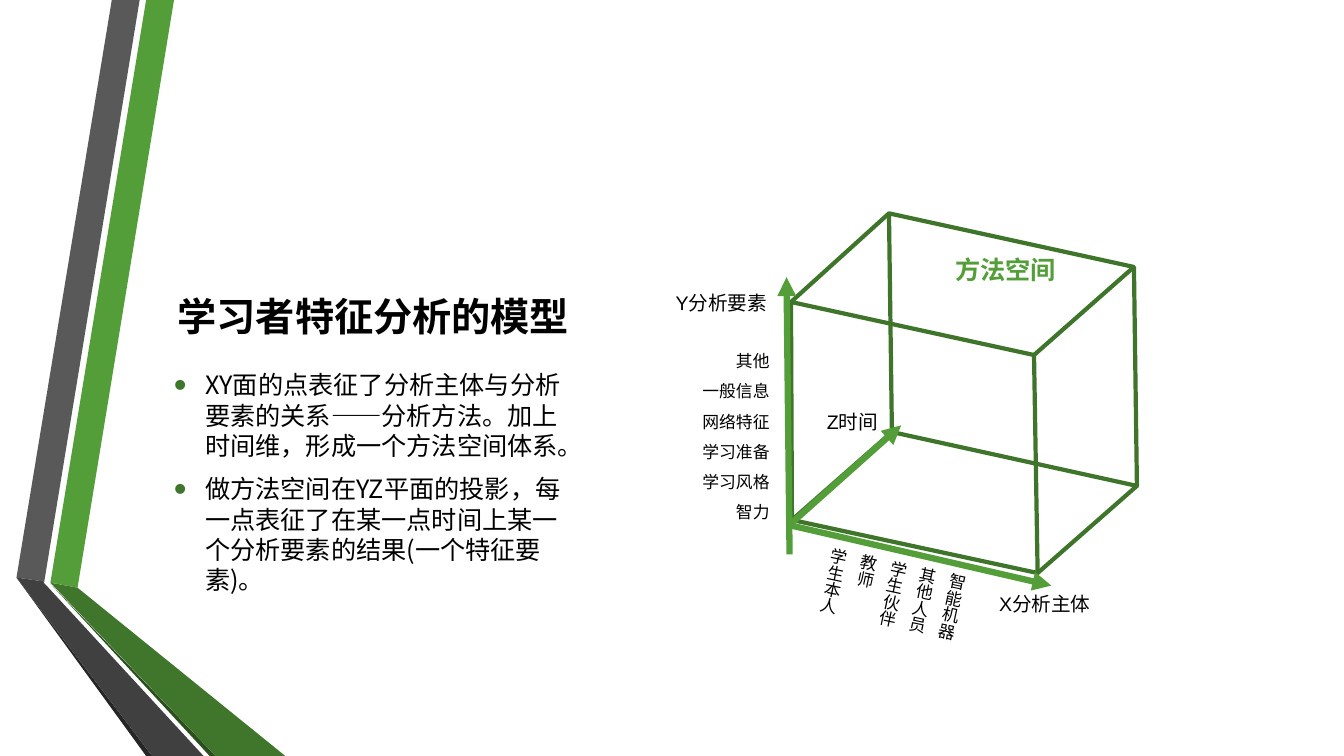
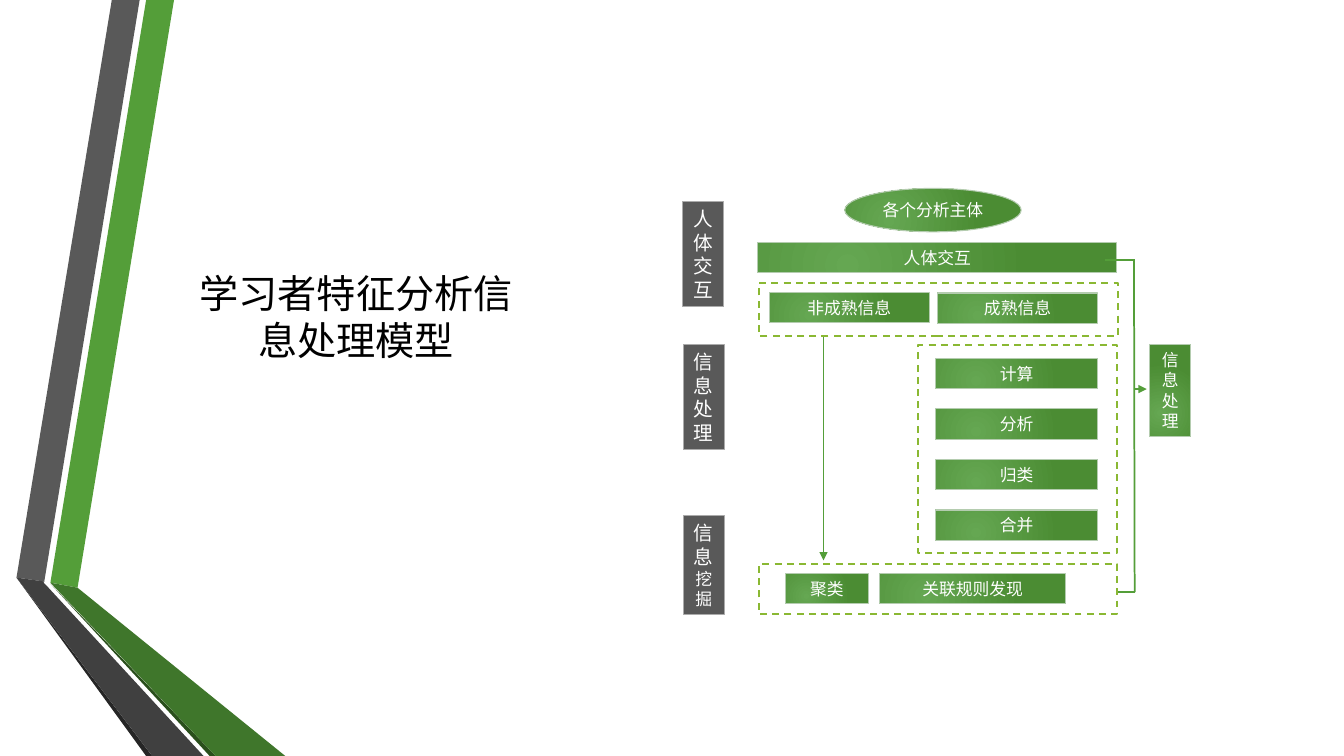
from lxml import etree
from pptx import Presentation
from pptx import oxml
from pptx.dml.color import RGBColor
from pptx.enum import dml, shapes, text
from pptx.oxml import ns
from pptx.util import Pt

GREEN, DARK_GREEN, LIME, GREY = "549E39", "3E752A", "8AB833", "595959"
BLACK, WHITE = "000000", "FFFFFF"
CJK = "Noto Sans CJK SC"
TITLE = {"size": 28, "font": CJK, "align": text.PP_ALIGN.CENTER,
         "anchor": text.MSO_ANCHOR.BOTTOM}
RIBBONS = [
    (GREEN, [(36, 416.2), (55.4, 419.8), (124.3, 0), (104.4, 0)]),
    (GREY, [(99.8, 0), (79.9, 0), (11.8, 412.6), (31.7, 415.4)]),
    ("262626", [(11.8, 412.6), (104.4, 540), (108.7, 540)]),
    ("2A4F1C", [(36, 416.9), (149.8, 540), (154.1, 540)]),
    ("3F762B", [(36, 416.2), (154.1, 540), (203.8, 540), (55.4, 419.8)]),
    ("404040", [(145.4, 540), (34.6, 419.8), (31, 416), (31.7, 415.4),
                (11.8, 412.6), (108.7, 540)]),
]


def color(value):
    return RGBColor.from_string(value)


def set_all(target, values):
    for name, value in values.items():
        setattr(target, name, value)


def add_xml(parent, tag, **values):
    return etree.SubElement(parent, ns.qn(tag), values)


def write(shape, paras, size=12, font="Arial", ink=BLACK, bold=False,
          align=text.PP_ALIGN.LEFT, anchor=text.MSO_ANCHOR.TOP, spacing=None):
    """Fill a shape with paragraphs; each is a string or a list of (string, size)."""
    frame = shape.text_frame
    set_all(frame, {"word_wrap": True, "vertical_anchor": anchor})
    for index, content in enumerate(paras):
        para = frame.paragraphs[0] if index == 0 else frame.add_paragraph()
        set_all(para, {"alignment": align, "line_spacing": spacing})
        spans = [(content, size)] if isinstance(content, str) else content
        for words, points in spans:
            span = para.add_run()
            span.text = words
            set_all(span.font, {"size": Pt(points), "bold": bold, "name": font})
            span.font.color.rgb = color(ink)
            add_xml(span.font._element, "a:ea", typeface=CJK)


def add_text(page, left, top, width, height, paras, **style):
    box = page.shapes.add_textbox(Pt(left), Pt(top), Pt(width), Pt(height))
    write(box, paras, **style)
    return box


def add_line(page, start, end, width=1.25, arrow=False):
    line = page.shapes.add_connector(
        shapes.MSO_CONNECTOR.STRAIGHT, *(Pt(value) for value in (*start, *end)))
    line.line.width = Pt(width)
    line.line.color.rgb = color(GREEN)
    if arrow:
        add_xml(line.line._get_or_add_ln(), "a:tailEnd", type="triangle")
    add_xml(line._element.spPr, "a:effectLst")


def add_outline(page, contours):
    """Draw one freeform; contours of more than two points are closed."""
    contours = [[(Pt(x), Pt(y)) for x, y in points] for points in contours]
    builder = page.shapes.build_freeform(*contours[0][0], scale=1.0)
    for points in contours:
        if points is not contours[0]:
            builder.move_to(*points[0])
        builder.add_line_segments(points[1:], close=len(points) > 2)
    outline = builder.convert_to_shape()
    outline.shadow.inherit = False
    return outline


def add_panel(page, left, top, width, height, edge, weight=0.75,
              kind=shapes.MSO_SHAPE.RECTANGLE):
    panel = page.shapes.add_shape(kind, Pt(left), Pt(top), Pt(width), Pt(height))
    panel.shadow.inherit = False
    panel.fill.background()
    panel.line.width = Pt(weight)
    panel.line.color.rgb = color(edge)
    return panel


def add_green_block(page, left, top, width, height, words,
                    kind=shapes.MSO_SHAPE.RECTANGLE):
    block = add_panel(page, left, top, width, height, "B4CCAF", kind=kind)
    gradient = oxml.parse_xml(
        f'<a:gradFill {ns.nsdecls("a")} rotWithShape="1"><a:gsLst>'
        '<a:gs pos="0"><a:srgbClr val="65A752"/></a:gs>'
        '<a:gs pos="100000"><a:srgbClr val="4B8C33"/></a:gs></a:gsLst>'
        '<a:path path="circle"><a:fillToRect l="50000" t="100000" '
        'r="100000" b="50000"/></a:path></a:gradFill>')
    properties = block._element.spPr
    properties.replace(properties.find(ns.qn("a:noFill")), gradient)
    write(block, [words], ink=WHITE, align=text.PP_ALIGN.CENTER,
          anchor=text.MSO_ANCHOR.MIDDLE)


def add_grey_tag(page, left, top, height, content):
    tag = add_panel(page, left, top, 29.5, height, "ABABAB")
    tag.fill.solid()
    tag.fill.fore_color.rgb = color(GREY)
    write(tag, [content], size=14, ink=WHITE, align=text.PP_ALIGN.CENTER,
          anchor=text.MSO_ANCHOR.MIDDLE)


def add_page(deck):
    """Add a blank page with the folded ribbons on its left edge."""
    page = deck.slides.add_slide(deck.slide_layouts[6])
    for fill, points in RIBBONS:
        ribbon = add_outline(page, [points])
        ribbon.fill.solid()
        ribbon.fill.fore_color.rgb = color(fill)
        ribbon.line.fill.background()
    return page


def add_bullets(page, left, top, width, height, paras):
    box = add_text(page, left, top, width, height, paras, size=18, font=CJK)
    for para in box.text_frame.paragraphs:
        para.space_after = Pt(9.6)
        properties = para._p.get_or_add_pPr()
        properties.set("marL", str(Pt(22.3)))
        properties.set("indent", str(-Pt(22.3)))
        bullet_color = add_xml(properties, "a:buClr")
        add_xml(bullet_color, "a:srgbClr", val="3F762B")
        add_xml(properties, "a:buSzPct", val="145000")
        add_xml(properties, "a:buFont", typeface="Arial")
        add_xml(properties, "a:buChar", char="•")


def add_cube(page, left, top):
    """Draw the method space with its three axes and their labels."""
    def at(x, y):
        return left + x, top + y

    front = [at(95, 65.7), at(268.6, 103.6), at(271.2, 259.3), at(95.7, 221.4)]
    back = [at(165, 2.4), at(340, 40.7), at(342.1, 197.1), at(167.1, 158.6)]
    cube = add_outline(page, [front, back, *zip(front, back)])
    cube.fill.background()
    cube.line.width = Pt(3)
    cube.line.color.rgb = color(DARK_GREEN)

    add_text(page, *at(0.4, 89.8), 86.4, 160,
             ["其他", "一般信息", "网络特征", "学习准备", "学习风格", "智力"],
             align=text.PP_ALIGN.RIGHT, spacing=1.5)
    subjects = add_text(page, *at(115, 251), 108, 70,
                        ["智能机器", "其他人员", "学生伙伴", "教师", "学生本人"],
                        spacing=1.5)
    subjects.rotation = 12
    frame = subjects.text_frame
    set_all(frame, dict.fromkeys(
        ("margin_left", "margin_right", "margin_top", "margin_bottom"), 0))
    frame._txBody.bodyPr.set("vert", "eaVert")

    add_text(page, *at(205.1, 28.1), 93.6, 28.8, ["方法空间"],
             size=18, ink=GREEN, bold=True)
    for words, x, y, width in [("Z时间", 113.6, 139.6, 75.6),
                               ("Y分析要素", 5.5, 54.5, 80.6),
                               ("X分析主体", 236.5, 269.4, 106.6)]:
        add_text(page, *at(x, y), width, 24.5, [words], size=14)
    for start, end in [((94, 246), (91.8, 48)),
                       ((93.8, 225.1), (281, 268.3)),
                       ((93, 225.8), (173.7, 153.8))]:
        add_line(page, at(*start), at(*end), 4.5, arrow=True)


def add_process(page, left, top):
    """Draw the three stages of information processing."""
    def at(x, y):
        return left + x, top + y

    for x, y, height, content in [
            (1.5, 10, 75.1, "人体交互"), (1.9, 112.1, 75.1, "信息处理"),
            (1.9, 234.3, 70.6, [("信息", 14), ("挖掘", 12)])]:
        add_grey_tag(page, *at(x, y), height, content)

    add_green_block(page, *at(117.4, 0.6), 126, 31, "各个分析主体",
                    shapes.MSO_SHAPE.OVAL)
    blocks = [("人体交互", 55.4, 39.4, 256.3),
              ("非成熟信息", 63.4, 75, 114.5), ("成熟信息", 183.6, 75.3, 114.5),
              ("聚类", 75.2, 275.7, 59), ("关联规则发现", 142.2, 275.7, 133.2)]
    blocks += [(words, 182.2, 122 + 36.1 * row, 115.9)
               for row, words in enumerate(["计算", "分析", "归类", "合并"])]
    for words, x, y, width in blocks:
        add_green_block(page, *at(x, y), width, 21.6, words)
    add_green_block(page, *at(335.4, 112), 29.2, 65.5, "信息处理")

    for x, y, width, height in [(56.2, 268.8, 255.6, 35.8),
                                (169.9, 112.6, 142.2, 148.5),
                                (56.2, 68.3, 256.3, 37.7)]:
        group = add_panel(page, *at(x, y), width, height, LIME, 1.25)
        group.line.dash_style = dml.MSO_LINE.DASH

    for start, end, arrow in [((102.2, 106.5), (102.2, 266.3), True),
                              ((324, 51.8), (324.5, 289), False),
                              ((324.5, 51.8), (303.1, 51.8), False),
                              ((324.5, 289), (312.5, 289), False),
                              ((324, 143.9), (333.1, 143.9), True)]:
        add_line(page, at(*start), at(*end), arrow=arrow)


def main():
    deck = Presentation()
    set_all(deck, {"slide_width": Pt(960), "slide_height": Pt(540)})

    page = add_page(deck)
    add_text(page, 116.6, 138.2, 300.2, 108, ["学习者特征分析的模型"],
             **{**TITLE, "font": "Calibri", "bold": True})
    add_bullets(page, 117.1, 260.5, 300.2, 180, [
        "XY面的点表征了分析主体与分析要素的关系——分析方法。加上时间维，形成一个方法空间体系。",
        "做方法空间在YZ平面的投影，每一点表征了在某一点时间上某一个分析要素的结果(一个特征要素)。"])
    add_cube(page, 470, 150)

    page = add_page(deck)
    add_text(page, 126.2, 155.1, 256.3, 108, ["学习者特征分析信息处理模型"], **TITLE)
    add_process(page, 486, 134)

    deck.save("out.pptx")


if __name__ == "__main__":
    main()
